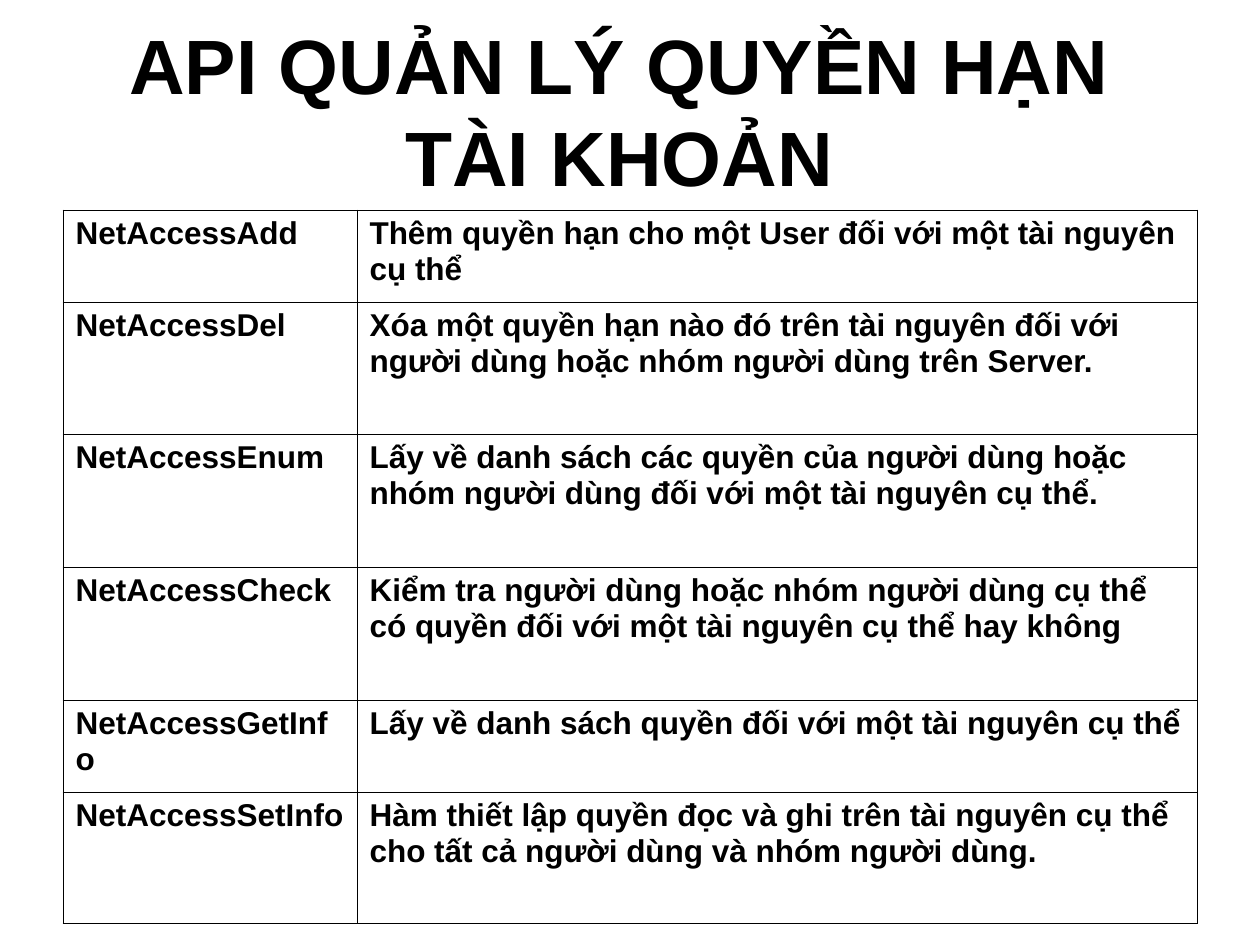
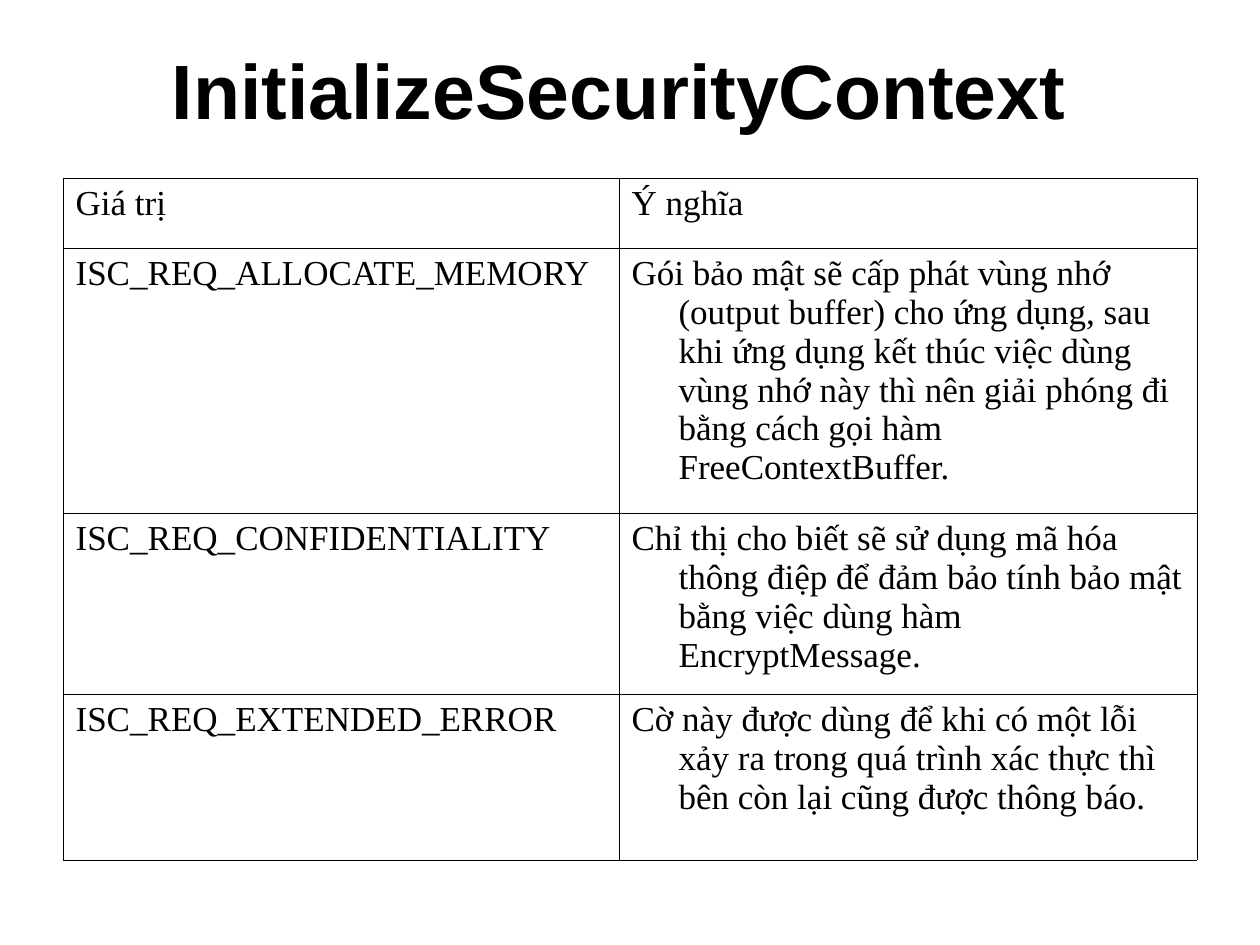
from lxml.etree import SubElement
from pptx import Presentation
from pptx.dml.color import RGBColor
from pptx.enum.text import MSO_ANCHOR, MSO_AUTO_SIZE, PP_ALIGN
from pptx.oxml.ns import qn
from pptx.util import Pt

BLACK = RGBColor(0x00, 0x00, 0x00)
WHITE = RGBColor(0xFF, 0xFF, 0xFF)
HEADING_FONT = "Arial"
SERIF_FONT = "Times New Roman"
EMU_PER_PX = 914400 / 126
TITLE_ONLY = 5

# Table text stores each tone as a combining mark after its vowel
VOWELS = "aăâeêioôơuưyY"
TONED_VOWELS = {
    0x0300: "àằầèềìòồờùừỳỲ",
    0x0301: "áắấéếíóốớúứýÝ",
    0x0303: "ãẵẫẽễĩõỗỡũữỹỸ",
    0x0309: "ảẳẩẻểỉỏổởủửỷỶ",
    0x0323: "ạặậẹệịọộợụựỵỴ",
}
SPLIT_TONES = str.maketrans({
    toned: vowel + chr(mark)
    for mark, letters in TONED_VOWELS.items()
    for toned, vowel in zip(letters, VOWELS)
})

ACCESS_FUNCTIONS = [
    ("NetAccessAdd", "Thêm quyền hạn cho một User đối với một tài nguyên cụ thể"),
    ("NetAccessDel", "Xóa một quyền hạn nào đó trên tài nguyên đối với người dùng "
                     "hoặc nhóm người dùng trên Server."),
    ("NetAccessEnum", "Lấy về danh sách các quyền của người dùng hoặc nhóm người dùng "
                      "đối với một tài nguyên cụ thể."),
    ("NetAccessCheck", "Kiểm tra người dùng hoặc nhóm người dùng cụ thể có quyền "
                       "đối với một tài nguyên cụ thể hay không"),
    ("NetAccessGetInfo", "Lấy về danh sách quyền đối với một tài nguyên cụ thể"),
    ("NetAccessSetInfo", "Hàm thiết lập quyền đọc và ghi trên tài nguyên cụ thể "
                         "cho tất cả người dùng và nhóm người dùng."),
]

CONTEXT_FLAGS = [
    ("Giá trị", "Ý nghĩa"),
    ("ISC_REQ_ALLOCATE_MEMORY",
     "Gói bảo mật sẽ cấp phát vùng nhớ (output buffer) cho ứng dụng, sau khi ứng dụng "
     "kết thúc việc dùng vùng nhớ này thì nên giải phóng đi bằng cách gọi hàm "
     "FreeContextBuffer."),
    ("ISC_REQ_CONFIDENTIALITY",
     "Chỉ thị cho biết sẽ sử dụng mã hóa thông điệp để đảm bảo tính bảo mật "
     "bằng việc dùng hàm EncryptMessage."),
    ("ISC_REQ_EXTENDED_ERROR",
     "Cờ này được dùng để khi có một lỗi xảy ra trong quá trình xác thực "
     "thì bên còn lại cũng được thông báo."),
]


def px(length):
    return round(length * EMU_PER_PX)


class DeckBuilder:
    """Holds the shared style and the current slide."""

    def __init__(self):
        self.deck = Presentation()
        self.deck.slide_width = px(1260)
        self.deck.slide_height = px(945)
        self.page = None

    def add_page(self):
        self.page = self.deck.slides.add_slide(self.deck.slide_layouts[TITLE_ONLY])
        background = self.page.background.fill
        background.solid()
        background.fore_color.rgb = WHITE

    def format_text(self, para, font, size, bold):
        for span in para.runs:
            span.font.name = font
            span.font.size = Pt(size)
            span.font.bold = bold
            span.font.color.rgb = BLACK

    def add_title(self, text, height):
        box = self.page.shapes.title
        box.left, box.top, box.width, box.height = px(84), px(31), px(1071), px(height)
        frame = box.text_frame
        frame.text = text
        frame.word_wrap = True
        frame.auto_size = MSO_AUTO_SIZE.NONE
        frame.vertical_anchor = MSO_ANCHOR.MIDDLE
        para = frame.paragraphs[0]
        para.alignment = PP_ALIGN.CENTER
        self.format_text(para, HEADING_FONT, 44, True)

    def add_borders(self, cell):
        properties = cell._tc.get_or_add_tcPr()
        for side in ("a:lnL", "a:lnR", "a:lnT", "a:lnB"):
            line = SubElement(properties, qn(side), w=str(Pt(0.45)))
            fill = SubElement(line, qn("a:solidFill"))
            SubElement(fill, qn("a:srgbClr"), val=str(BLACK))

    def add_table(self, top, widths, heights, rows, font, size, bold=False, hanging=0):
        table = self.page.shapes.add_table(
            len(rows), len(widths), px(63), px(top), px(sum(widths)), px(sum(heights))
        ).table
        table.first_row = table.horz_banding = False
        for column, width in zip(table.columns, widths):
            column.width = px(width)
        for row, height, texts in zip(table.rows, heights, rows):
            row.height = px(height)
            for cell, text in zip(row.cells, texts):
                cell.text_frame.text = text.translate(SPLIT_TONES)
                para = cell.text_frame.paragraphs[0]
                self.format_text(para, font, size, bold)
                if hanging:
                    indent = para._p.get_or_add_pPr()
                    indent.set("marL", str(px(hanging)))
                    indent.set("indent", str(-px(hanging)))
                self.add_borders(cell)
                cell.fill.background()


def main():
    builder = DeckBuilder()

    # Account permission functions
    builder.add_page()
    builder.add_title("API QUẢN LÝ QUYỀN HẠN TÀI KHOẢN", 158)
    builder.add_table(210, (294, 840), (92, 132, 133, 133, 92, 132),
                      ACCESS_FUNCTIONS, HEADING_FONT, 18, bold=True)

    # Security context flags
    builder.add_page()
    builder.add_title("InitializeSecurityContext", 116)
    builder.add_table(178, (556, 578), (70, 265, 181, 166),
                      CONTEXT_FLAGS, SERIF_FONT, 20, hanging=47)

    builder.deck.save("out.pptx")


if __name__ == "__main__":
    main()
